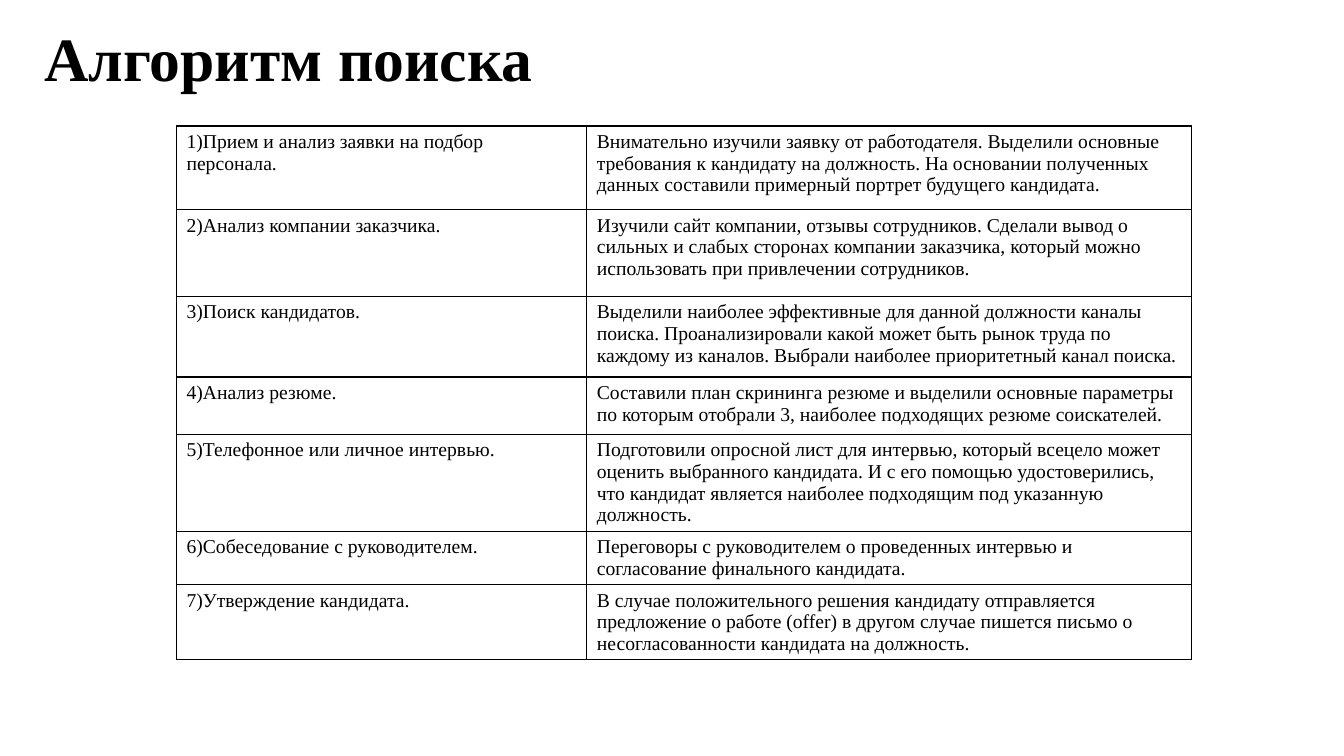
"""Build the slide that sets out the candidate search steps in a table."""
from dataclasses import dataclass

from lxml.etree import SubElement
from pptx import Presentation
from pptx.dml.color import RGBColor
from pptx.enum.text import MSO_ANCHOR, MSO_AUTO_SIZE, PP_ALIGN
from pptx.oxml.ns import qn
from pptx.util import Inches, Pt


@dataclass(frozen=True)
class Theme:
    font: str = "Times New Roman"
    ink: str = "000000"
    paper: str = "FFFFFF"
    title_size: int = 44
    body_size: int = 14
    border_width: int = 1


STEPS = [
    (0.83, "1)Прием и анализ заявки на подбор персонала.",
     "Внимательно изучили заявку от работодателя. Выделили основные требования к кандидату "
     "на должность. На основании полученных данных составили примерный портрет будущего кандидата."),
    (0.86, "2)Анализ компании заказчика.",
     "Изучили сайт компании, отзывы сотрудников. Сделали вывод о сильных и слабых сторонах "
     "компании заказчика, который можно использовать при привлечении сотрудников."),
    (0.8, "3)Поиск кандидатов.",
     "Выделили наиболее эффективные для данной должности каналы поиска. Проанализировали какой "
     "может быть рынок труда по каждому из каналов. Выбрали наиболее приоритетный канал поиска."),
    (0.57, "4)Анализ резюме.",
     "Составили план скрининга резюме и выделили основные параметры по которым отобрали 3, "
     "наиболее подходящих резюме соискателей."),
    (0.96, "5)Телефонное или личное интервью.",
     "Подготовили опросной лист для интервью, который всецело может оценить выбранного кандидата. "
     "И с его помощью удостоверились, что кандидат является наиболее подходящим под указанную должность."),
    (0.53, "6)Собеседование с руководителем.",
     "Переговоры с руководителем о проведенных интервью и согласование финального кандидата."),
    (0.74, "7)Утверждение кандидата.",
     "В случае положительного решения кандидату отправляется предложение о работе (offer) "
     "в другом случае пишется письмо о несогласованности кандидата на должность."),
]


class SlideBuilder:
    def __init__(self, slide, theme):
        self.slide = slide
        self.theme = theme

    def background(self):
        fill = self.slide.background.fill
        fill.solid()
        fill.fore_color.rgb = RGBColor.from_string(self.theme.paper)

    def run(self, p, text, size, bold=False):
        r = p.add_run()
        r.text = text
        r.font.name = self.theme.font
        r.font.size = Pt(size)
        r.font.bold = bold
        r.font.color.rgb = RGBColor.from_string(self.theme.ink)

    def title(self, text, left, top, width, height):
        sp = self.slide.shapes.title
        sp.left, sp.top = Inches(left), Inches(top)
        sp.width, sp.height = Inches(width), Inches(height)
        tf = sp.text_frame
        tf.word_wrap = True
        tf.auto_size = MSO_AUTO_SIZE.NONE
        tf.vertical_anchor = MSO_ANCHOR.MIDDLE
        p = tf.paragraphs[0]
        p.alignment = PP_ALIGN.LEFT
        p.line_spacing = 0.9
        self.run(p, text, self.theme.title_size, bold=True)

    def borders(self, cell):
        tc_pr = cell._tc.get_or_add_tcPr()
        for i, side in enumerate(("lnL", "lnR", "lnT", "lnB")):
            ln = SubElement(tc_pr, qn(f"a:{side}"), w=str(Pt(self.theme.border_width)))
            SubElement(SubElement(ln, qn("a:solidFill")), qn("a:srgbClr"), val=self.theme.ink)
            tc_pr.insert(i, ln)

    def table(self, rows, left, top, widths):
        heights = [row[0] for row in rows]
        table = self.slide.shapes.add_table(
            len(rows), len(widths), Inches(left), Inches(top),
            Inches(sum(widths)), Inches(sum(heights))).table
        table.first_row = table.horz_banding = False
        for column, width in zip(table.columns, widths):
            column.width = Inches(width)
        for row, (height, *texts) in zip(table.rows, rows):
            row.height = Inches(height)
            for cell, text in zip(row.cells, texts):
                cell.fill.background()
                self.borders(cell)
                self.run(cell.text_frame.paragraphs[0], text, self.theme.body_size)


def main():
    prs = Presentation()
    prs.slide_width, prs.slide_height = Inches(13.33), Inches(7.5)
    s = SlideBuilder(prs.slides.add_slide(prs.slide_layouts[5]), Theme())
    s.background()
    s.title("Алгоритм поиска", 0.34, -0.11, 11.5, 1.45)
    s.table(STEPS, 1.75, 1.25, (4.07, 6))
    prs.save("out.pptx")


if __name__ == "__main__":
    main()
